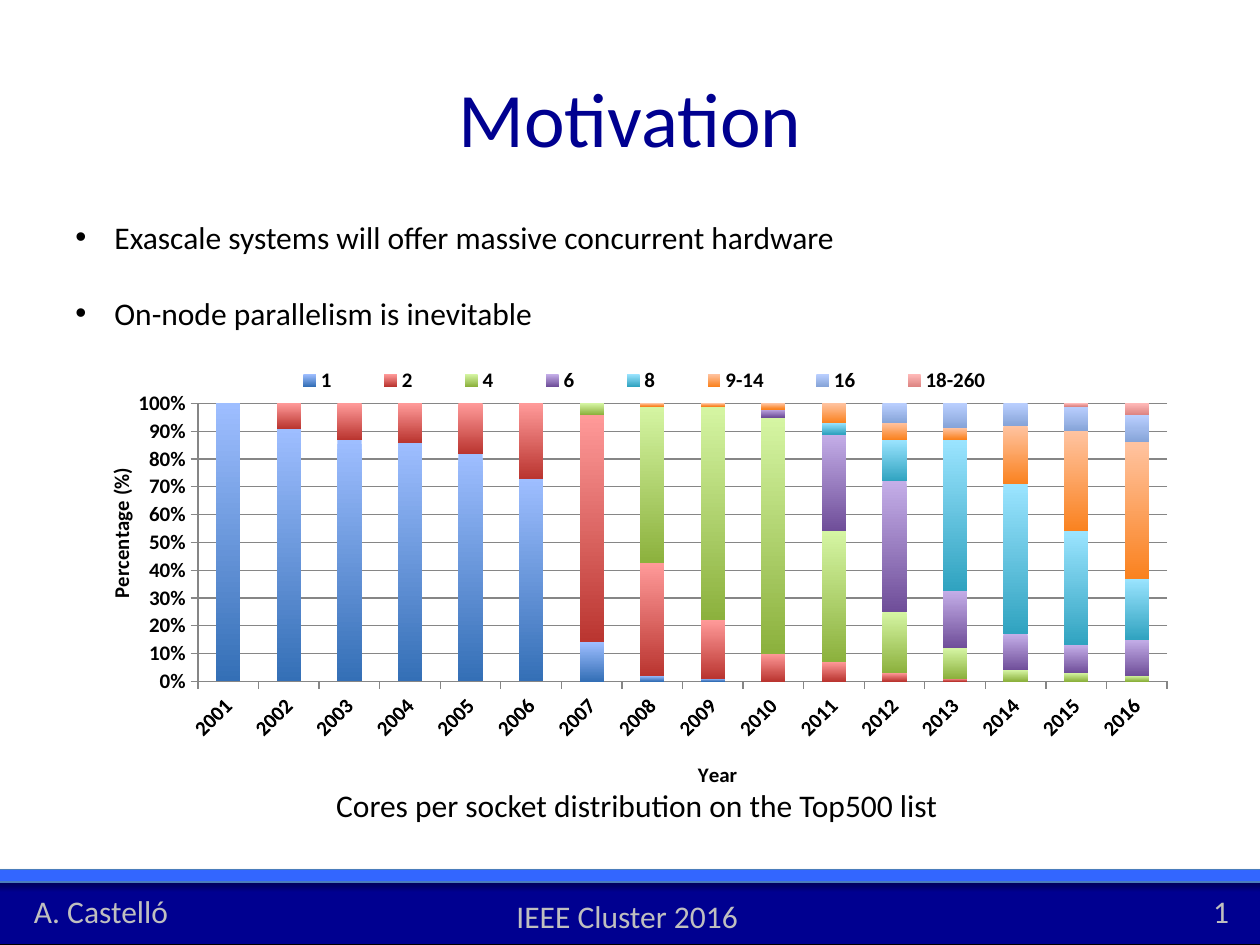
from dataclasses import dataclass

from lxml import etree
from pptx import Presentation
from pptx.chart.data import CategoryChartData as Data
from pptx.dml.color import RGBColor as RGB
from pptx.enum.chart import XL_CHART_TYPE as Kind, XL_LEGEND_POSITION as Spot
from pptx.enum.chart import XL_TICK_MARK as Tick
from pptx.enum.shapes import MSO_SHAPE as Shape
from pptx.enum.text import MSO_ANCHOR as Anchor, PP_ALIGN as Align
from pptx.oxml import parse_xml
from pptx.oxml.ns import nsdecls, qn
from pptx.util import Inches, Pt


@dataclass(frozen=True)
class Theme:
    face: str = "Calibri"
    dot: str = "Arial"
    navy: str = "000090"
    blue: str = "3366FF"
    edge: str = "4B7EBC"
    ink: str = "000000"
    pale: str = "BFBFBF"
    grid: str = "868686"
    head: int = 44
    body: int = 18
    small: int = 12


T = Theme()
YEARS = [str(year) for year in range(2001, 2017)]
# Core count: top colour, bottom colour, share for each year
SERIES = {
    "1": ("9EBEFF", "346FB6", [100, 91, 87, 86, 82, 73, 14, 2, 1, 0, 0, 0, 0, 0, 0, 0]),
    "2": ("FF9A99", "BA3530", [0, 9, 13, 14, 18, 27, 81, 41, 21, 10, 7, 3, 1, 0, 0, 0]),
    "4": ("D5F5A3", "8CB13D", [0, 0, 0, 0, 0, 0, 4, 57, 77, 85, 47, 22, 11, 4, 3, 2]),
    "6": ("C4AEE8", "6F4E99", [0, 0, 0, 0, 0, 0, 0, 0, 0, 3, 35, 47, 21, 13, 10, 13]),
    "8": ("9BE4FF", "30A3C0", [0, 0, 0, 0, 0, 0, 0, 0, 0, 0, 4, 15, 55, 54, 41, 22]),
    "9-14": ("FFC3A0", "FA821F", [0, 0, 0, 0, 0, 0, 0, 1, 1, 2, 7, 6, 4, 21, 36, 49]),
    "16": ("BACFFF", "86A4D8", [0, 0, 0, 0, 0, 0, 0, 0, 0, 0, 0, 7, 9, 8, 9, 10]),
    "18-260": ("FFB9B8", "DD8583", [0, 0, 0, 0, 0, 0, 0, 0, 0, 0, 0, 0, 0, 0, 1, 4]),
}


def apply(item, **vals):
    for name, val in vals.items():
        setattr(item, name, val)


def style(font, size, color, bold=False):
    apply(font, name=T.face, size=Pt(size), bold=bold)
    font.color.rgb = RGB.from_string(color)


def place(*box):
    return [Inches(val) for val in box]


def add_title(slide, text):
    title = slide.shapes.title
    spots = zip(("left", "top", "width", "height"), place(0.5, 0.3, 9, 1.25))
    apply(title, **dict(spots))
    frame = title.text_frame
    apply(frame, text=text, vertical_anchor=Anchor.MIDDLE)
    para = frame.paragraphs[0]
    para.alignment = Align.CENTER
    style(para.font, T.head, T.navy)


def add_text(slide, text, box, color, wrap=False):
    frame = slide.shapes.add_textbox(*place(*box)).text_frame
    apply(frame, text=text, word_wrap=wrap)
    for para in frame.paragraphs:
        style(para.font, T.body, color)
    return frame


def add_list(slide, lines, box):
    frame = add_text(slide, "\n".join(lines), box, T.ink, wrap=True)
    for num, para in enumerate(frame.paragraphs):
        props = para._p.get_or_add_pPr()
        props.set("marL", str(Inches(0.31)))
        props.set("indent", str(-Inches(0.31)))
        for mark in (f'buFont {nsdecls("a")} typeface="{T.dot}"',
                     f'buChar {nsdecls("a")} char="•"'):
            props.insert_element_before(
                parse_xml(f"<a:{mark}/>"), "a:tabLst", "a:defRPr", "a:extLst")
        if num:
            para.space_before = Pt(22)


def add_bar(slide, top, height, fill, line):
    bar = slide.shapes.add_shape(Shape.RECTANGLE, *place(-0.04, top, 10.13, height))
    bar.fill.solid()
    bar.fill.fore_color.rgb = RGB.from_string(fill)
    bar.line.color.rgb = RGB.from_string(line)
    bar.line.width = Pt(0.75)
    bar.shadow.inherit = False
    # Soft shadow below the bar
    glow = bar._element.spPr.find(qn("a:effectLst"))
    glow.append(parse_xml(
        f'<a:outerShdw {nsdecls("a")} blurRad="{Pt(3.1)}" dist="{Pt(1.8)}" '
        'dir="5400000" rotWithShape="0"><a:srgbClr val="000000">'
        '<a:alpha val="35000"/></a:srgbClr></a:outerShdw>'))


def set_spot(part, after=None, **vals):
    """Fix the place of a chart part, as shares of the chart."""
    for old in part.findall(qn("c:layout")):
        part.remove(old)
    layout = parse_xml(f'<c:layout {nsdecls("c")}><c:manualLayout/></c:layout>')
    for name, val in {"xMode": "edge", "yMode": "edge", **vals}.items():
        etree.SubElement(layout[0], qn(f"c:{name}")).set("val", str(val))
    spot = part.index(part.find(qn(after))) + 1 if after else 0
    part.insert(spot, layout)
    return layout[0]


def set_axis(axis, title, x, y):
    frame = axis.axis_title.text_frame
    frame.text = title
    style(frame.paragraphs[0].runs[0].font, T.small, T.ink, True)
    set_spot(axis.axis_title._element, "c:tx", x=x, y=y)
    style(axis.tick_labels.font, T.small, T.ink, True)
    apply(axis, major_tick_mark=Tick.OUTSIDE, minor_tick_mark=Tick.NONE)
    axis.format.line.color.rgb = RGB.from_string(T.grid)


def add_graph(slide, box):
    data = Data(number_format="0")
    data.categories = YEARS
    for name, (_, _, vals) in SERIES.items():
        data.add_series(name, vals)
    chart = slide.shapes.add_chart(
        Kind.COLUMN_STACKED_100, *place(*box), data).chart
    style(chart.font, T.small, T.ink)
    apply(chart, has_title=False, has_legend=True)

    # Legend and plot area
    key = chart.legend
    apply(key, position=Spot.TOP, include_in_layout=False)
    style(key.font, T.small, T.ink, True)
    set_spot(key._element, "c:legendPos", x=0.15, y=0.02, w=0.7, h=0.06)
    area = set_spot(chart._chartSpace.chart.plotArea,
                    x=0.096, y=0.104, w=0.877, h=0.65)
    inner = etree.Element(qn("c:layoutTarget"))
    inner.set("val", "inner")
    area.insert(0, inner)

    # Axes
    cats, vals = chart.category_axis, chart.value_axis
    set_axis(cats, "Year", 0.545, 0.93)
    set_axis(vals, "Percentage (%)", 0.01, 0.25)
    cats._element.find(qn("c:txPr")).find(qn("a:bodyPr")).set("rot", "-2700000")
    apply(vals, major_unit=0.1, has_major_gridlines=True)
    apply(vals.tick_labels, number_format="0%", number_format_is_linked=False)
    vals.major_gridlines.format.line.color.rgb = RGB.from_string(T.grid)

    # Shaded columns
    plot = chart.plots[0]
    apply(plot, gap_width=150, overlap=100, vary_by_categories=False)
    for series, tones in zip(plot.series, SERIES.values()):
        fill = series.format.fill
        fill.gradient()
        fill.gradient_angle = 270
        for stop, tone in zip(fill.gradient_stops, tones):
            stop.color.rgb = RGB.from_string(tone)


def main():
    deck = Presentation()
    apply(deck, slide_width=Inches(10), slide_height=Inches(7.5))
    slide = deck.slides.add_slide(deck.slide_layouts[5])
    add_title(slide, "Motivation")

    # Footer
    add_bar(slide, 7, 0.5, T.navy, T.ink)
    add_bar(slide, 6.9, 0.1, T.blue, T.edge)
    add_text(slide, "A. Castelló", (0.17, 7.03, 1.28, 0.4), T.pale)
    add_text(slide, "IEEE Cluster 2016", (4, 7.07, 1.98, 0.4), T.pale)
    add_text(slide, "1", (9.53, 7.03, 0.33, 0.4), T.pale)

    # Content
    add_list(slide, ["Exascale systems will offer massive concurrent hardware",
                     "On-node parallelism is inevitable"], (0.5, 1.68, 9, 1.31))
    add_text(slide, "Cores per socket distribution on the Top500 list",
             (2.57, 6.19, 5.07, 0.4), T.ink)
    add_graph(slide, (0.73, 2.85, 8.77, 3.45))
    deck.save("out.pptx")


if __name__ == "__main__":
    main()
